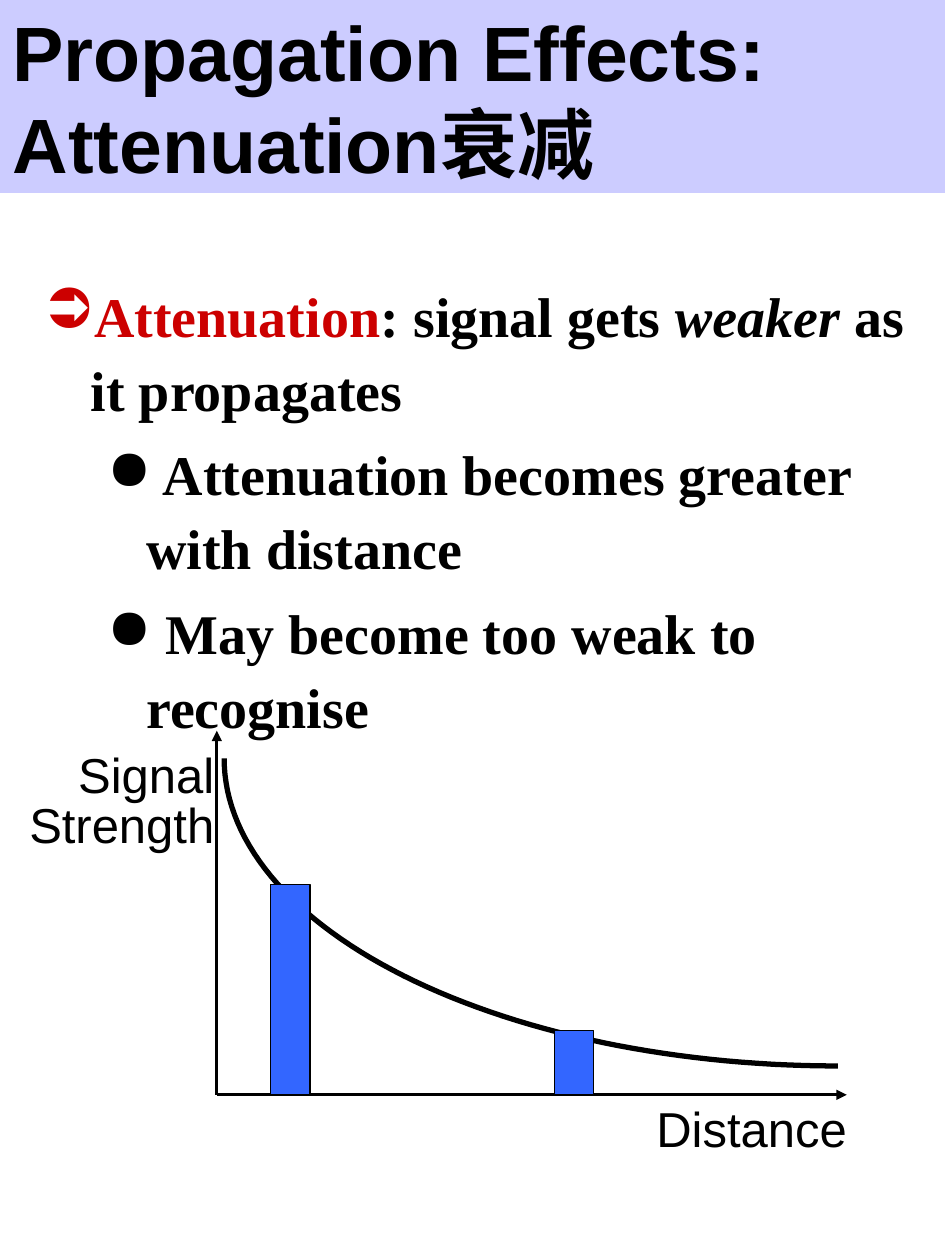
import math

import pptx
import pptx.dml.color
import pptx.enum.shapes
import pptx.enum.text
import pptx.oxml
import pptx.oxml.ns
import pptx.util
from pptx.util import Cm, Pt

COLOURS = {
    "band": "CCCCFF",
    "key": "CC0000",
    "ink": "000000",
    "paper": "FFFFFF",
    "bar": "3366FF",
}
ALIGN = pptx.enum.text.PP_ALIGN
ORIGIN_X, ORIGIN_Y = 4.37, 22.07


def rgb(name):
    return pptx.dml.color.RGBColor.from_string(COLOURS[name])


def add_element(parent, tag, inner="", **attributes):
    listed = " ".join(f'{key}="{value}"' for key, value in attributes.items())
    namespace = pptx.oxml.ns.nsdecls("a")
    parent.append(pptx.oxml.parse_xml(f"<a:{tag} {namespace} {listed}>{inner}</a:{tag}>"))


def write_paragraph(paragraph, text, font="Arial", size=28, bold=False, colour="ink",
                    align=ALIGN.LEFT, spacing=None, before=0, level=0,
                    bullet=None, bullet_colour="ink", margin=0, hanging=0):
    """Text is a string, or a list of (string, run format) pairs."""
    if bullet:
        properties = paragraph._p.get_or_add_pPr()
        properties.set("marL", str(Cm(margin)))
        properties.set("indent", str(-Cm(hanging)))
        add_element(properties, "buClr", f'<a:srgbClr val="{COLOURS[bullet_colour]}"/>')
        add_element(properties, "buChar", char=bullet)
    paragraph.level = level
    paragraph.alignment = align
    paragraph.space_before = Pt(before)
    if spacing:
        paragraph.line_spacing = spacing
    for words, changes in [(text, {})] if isinstance(text, str) else text:
        run = paragraph.add_run()
        run.text = words
        run.font.name = font
        run.font.size = Pt(size)
        run.font.bold = bold
        run.font.italic = changes.get("italic", False)
        run.font.color.rgb = rgb(changes.get("colour", colour))


def add_title(slide, text):
    title = slide.shapes.title
    title.left, title.top, title.width, title.height = 0, 0, Cm(19.05), Cm(3.89)
    title.fill.solid()
    title.fill.fore_color.rgb = rgb("band")
    frame = title.text_frame
    frame.auto_size = pptx.enum.text.MSO_AUTO_SIZE.NONE
    frame.vertical_anchor = pptx.enum.text.MSO_ANCHOR.MIDDLE
    write_paragraph(frame.paragraphs[0], text, size=44, bold=True)


def add_text_box(slide, left, top, width, height, wrap=True):
    frame = slide.shapes.add_textbox(Cm(left), Cm(top), Cm(width), Cm(height)).text_frame
    frame.word_wrap = wrap
    return frame


def add_points(slide):
    frame = add_text_box(slide, 0.64, 5.41, 17.86, 13.3)
    style = {"font": "Times New Roman", "size": 32, "bold": True, "spacing": 1.1}
    write_paragraph(
        frame.paragraphs[0],
        [("Attenuation", {"colour": "key"}), (": signal gets ", {}),
         ("weaker", {"italic": True}), (" as it propagates", {})],
        bullet="➲", bullet_colour="key", margin=0.94, hanging=0.94, **style)
    for point in (" Attenuation becomes greater with distance",
                  " May become too weak to recognise"):
        write_paragraph(frame.add_paragraph(), point, level=1, before=6.2,
                        bullet="●", margin=2.06, hanging=0.79, **style)


def add_axis_label(slide, lines, left, top, width, height, spacing=None):
    frame = add_text_box(slide, left, top, width, height, wrap=False)
    for index, line in enumerate(lines):
        paragraph = frame.add_paragraph() if index else frame.paragraphs[0]
        write_paragraph(paragraph, line, align=ALIGN.RIGHT, spacing=spacing)


def add_axis(slide, end_x, end_y):
    axis = slide.shapes.add_connector(
        pptx.enum.shapes.MSO_CONNECTOR.STRAIGHT,
        Cm(ORIGIN_X), Cm(ORIGIN_Y), Cm(end_x), Cm(end_y))
    axis.line.color.rgb = rgb("ink")
    axis.line.width = Pt(1.5)
    add_element(axis.line._get_or_add_ln(), "tailEnd", type="triangle")
    add_element(axis._element.spPr, "effectLst")


def add_decay_curve(slide, left=4.52, top=15.29, width=12.37, height=6.2, steps=60):
    """Lower left quarter of an ellipse."""
    angles = [math.pi / 2 * step / steps for step in range(steps + 1)]
    points = [(Cm(left + width * (1 - math.cos(angle))), Cm(top + height * math.sin(angle)))
              for angle in angles]
    builder = slide.shapes.build_freeform(*points[0])
    builder.add_line_segments(points[1:], close=False)
    curve = builder.convert_to_shape()
    curve.shadow.inherit = False
    curve.fill.background()
    curve.line.color.rgb = rgb("ink")
    curve.line.width = Pt(3)


def add_strength_bar(slide, left, height, width=0.79):
    bar = slide.shapes.add_shape(
        pptx.enum.shapes.MSO_SHAPE.RECTANGLE,
        Cm(left), Cm(ORIGIN_Y - height), Cm(width), Cm(height))
    bar.shadow.inherit = False
    bar.fill.solid()
    bar.fill.fore_color.rgb = rgb("bar")
    bar.line.color.rgb = rgb("ink")
    bar.line.width = Pt(0.75)


def main():
    deck = pptx.Presentation()
    deck.slide_width, deck.slide_height = Cm(19.05), Cm(25.4)
    slide = deck.slides.add_slide(deck.slide_layouts[5])
    slide.background.fill.solid()
    slide.background.fill.fore_color.rgb = rgb("paper")

    add_title(slide, "Propagation Effects: Attenuation衰减")
    add_points(slide)
    add_decay_curve(slide)
    add_axis(slide, ORIGIN_X, 14.73)
    add_axis(slide, 17.07, ORIGIN_Y)
    add_axis_label(slide, ["Signal", "Strength"], 0.33, 15.06, 4.24, 2.29, spacing=0.85)
    add_axis_label(slide, ["Distance"], 12.98, 22.02, 4.34, 1.45)
    for left, height in ((5.46, 4.24), (11.18, 1.3)):
        add_strength_bar(slide, left, height)
    deck.save("out.pptx")


if __name__ == "__main__":
    main()
